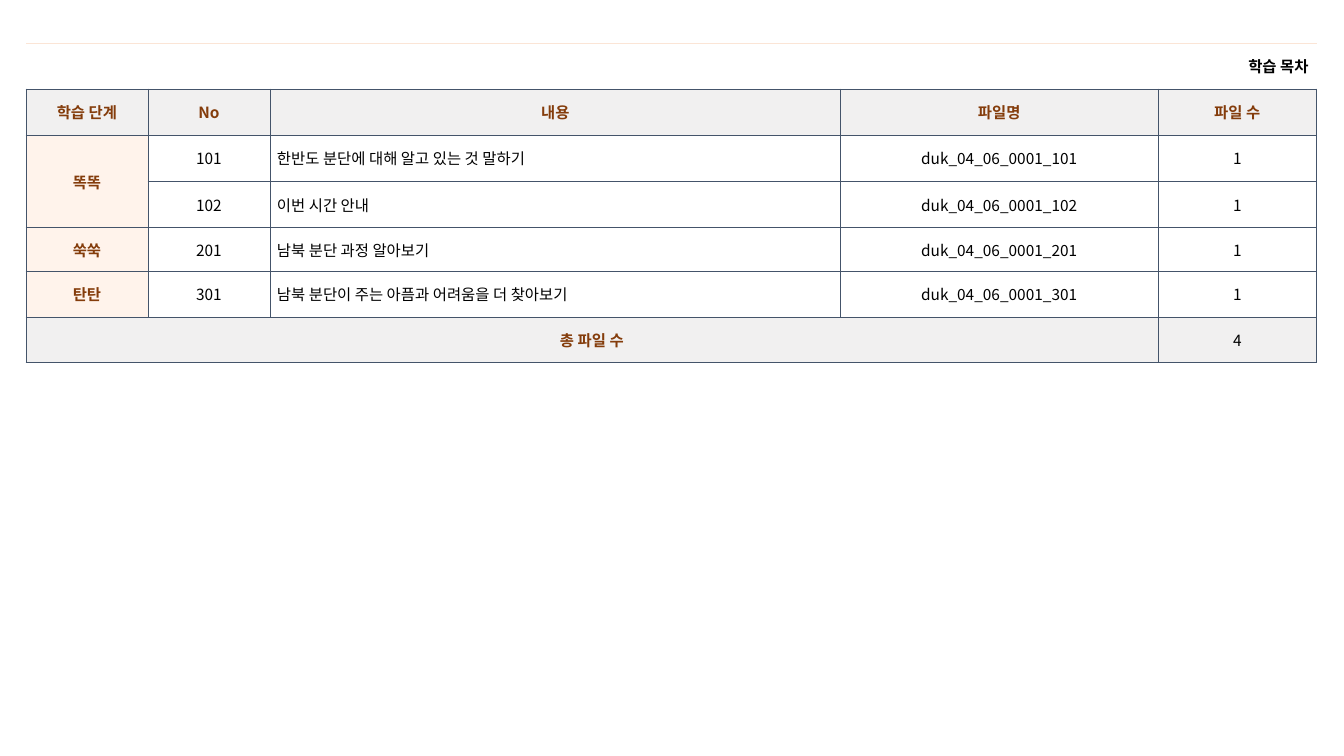
from dataclasses import dataclass

import pptx
import pptx.dml.color
import pptx.enum.text
import pptx.oxml
import pptx.oxml.ns
import pptx.table
import pptx.util

Pt = pptx.util.Pt
RGBColor = pptx.dml.color.RGBColor
ALIGN = pptx.enum.text.PP_ALIGN

BLACK = RGBColor(0x00, 0x00, 0x00)
WHITE = RGBColor(0xFF, 0xFF, 0xFF)
BROWN = RGBColor(0x84, 0x3C, 0x0B)
GRAY = RGBColor(0xF1, 0xF0, 0xF0)
PEACH = RGBColor(0xFF, 0xF3, 0xEB)
RULE = RGBColor(0x44, 0x54, 0x6A)
PALE_RULE = RGBColor(0xFB, 0xE5, 0xD6)

FONT = "Noto Sans CJK KR"
NO_GRID_STYLE = "{2D5ABB26-0587-4C30-8999-92F81FD0307C}"
COLUMN_WIDTHS = [87.1, 87.1, 407.8, 226.5, 113.5]
ROW_HEIGHTS = [32.7, 32.9, 32.9, 33.2, 31, 32.8, 32.8]


@dataclass(frozen=True)
class Entry:
    row: int
    column: int
    text: str
    fill: RGBColor | None = WHITE
    color: RGBColor = BLACK
    bold: bool = False
    align: ALIGN | None = ALIGN.CENTER
    row_span: int = 1
    column_span: int = 1
    side_margin: float = 5.1


@dataclass(frozen=True)
class Lesson:
    number: str
    content: str
    count: str = "1"


def add_border(cell: pptx.table._Cell, edge: str, color: RGBColor, width: float) -> None:
    line = pptx.oxml.parse_xml(
        f'<a:ln{edge} {pptx.oxml.ns.nsdecls("a")} w="{Pt(width)}">'
        f'<a:solidFill><a:srgbClr val="{color}"/></a:solidFill></a:ln{edge}>'
    )
    cell._tc.get_or_add_tcPr().append(line)


def frame_cell(cell: pptx.table._Cell, entry: Entry, row: int, column: int) -> None:
    """Draw the edges of one grid cell that lie on the outside of its entry."""
    is_heading = entry.row == 0
    outer_edges = {
        "L": column == entry.column and not is_heading,
        "R": column == entry.column + entry.column_span - 1 and not is_heading,
        "T": row == entry.row,
        "B": row == entry.row + entry.row_span - 1,
    }
    for edge, is_outer in outer_edges.items():
        if is_outer:
            pale = is_heading and edge == "T"
            add_border(cell, edge, PALE_RULE if pale else RULE, 0.25 if pale else 0.5)


def draw_entry(table: pptx.table.Table, entry: Entry) -> None:
    last_row = entry.row + entry.row_span - 1
    last_column = entry.column + entry.column_span - 1
    origin = table.cell(entry.row, entry.column)
    if (last_row, last_column) != (entry.row, entry.column):
        origin.merge(table.cell(last_row, last_column))

    # Borders come before the fill in the cell properties
    for row in range(entry.row, last_row + 1):
        for column in range(entry.column, last_column + 1):
            cell = table.cell(row, column)
            frame_cell(cell, entry, row, column)
            if entry.fill is None:
                cell.fill.background()
            else:
                cell.fill.solid()
                cell.fill.fore_color.rgb = entry.fill

    origin.margin_left = origin.margin_right = Pt(entry.side_margin)
    origin.margin_top = origin.margin_bottom = Pt(3.6)
    origin.vertical_anchor = pptx.enum.text.MSO_ANCHOR.MIDDLE

    paragraph = origin.text_frame.paragraphs[0]
    paragraph.alignment = entry.align
    run = paragraph.add_run()
    run.text = entry.text
    run.font.size = Pt(11)
    run.font.bold = entry.bold
    run.font.color.rgb = entry.color
    run.font.name = FONT
    run.font._element.append(
        pptx.oxml.parse_xml(f'<a:ea {pptx.oxml.ns.nsdecls("a")} typeface="{FONT}"/>')
    )


def label(row: int, column: int, text: str, fill: RGBColor,
          row_span: int = 1, column_span: int = 1) -> Entry:
    return Entry(row, column, text, fill, BROWN, True,
                 row_span=row_span, column_span=column_span)


def contents_entries() -> list[Entry]:
    # Heading and column labels
    entries = [Entry(0, 0, "학습 목차", None, bold=True, align=ALIGN.RIGHT,
                     column_span=5, side_margin=5.8)]
    headers = ["학습 단계", "No", "내용", "파일명", "파일 수"]
    entries += [label(1, column, text, GRAY) for column, text in enumerate(headers)]

    # Learning stages with their lessons
    stages = {
        "똑똑": [Lesson("101", "한반도 분단에 대해 알고 있는 것 말하기"),
                Lesson("102", "이번 시간 안내")],
        "쑥쑥": [Lesson("201", "남북 분단 과정 알아보기")],
        "탄탄": [Lesson("301", "남북 분단이 주는 아픔과 어려움을 더 찾아보기")],
    }
    row = 2
    for stage, lessons in stages.items():
        entries.append(label(row, 0, stage, PEACH, row_span=len(lessons)))
        for lesson in lessons:
            entries += [
                Entry(row, 1, lesson.number),
                Entry(row, 2, lesson.content, align=None),
                Entry(row, 3, f"duk_04_06_0001_{lesson.number}"),
                Entry(row, 4, lesson.count),
            ]
            row += 1

    # Total
    entries.append(label(row, 0, "총 파일 수", GRAY, column_span=4))
    entries.append(Entry(row, 4, "4", GRAY))
    return entries


def main() -> None:
    presentation = pptx.Presentation()
    presentation.slide_width = Pt(960)
    presentation.slide_height = Pt(540)
    slide = presentation.slides.add_slide(presentation.slide_layouts[6])

    # Contents table
    frame = slide.shapes.add_table(
        len(ROW_HEIGHTS), len(COLUMN_WIDTHS), Pt(18.6), Pt(30.9),
        Pt(sum(COLUMN_WIDTHS)), Pt(sum(ROW_HEIGHTS)),
    )
    contents = frame.table
    contents.first_row = contents.horz_banding = False
    style_id = contents._tbl.tblPr.find(pptx.oxml.ns.qn("a:tableStyleId"))
    style_id.text = NO_GRID_STYLE
    for column, width in zip(contents.columns, COLUMN_WIDTHS):
        column.width = Pt(width)
    for row, height in zip(contents.rows, ROW_HEIGHTS):
        row.height = Pt(height)
    for entry in contents_entries():
        draw_entry(contents, entry)

    presentation.save("out.pptx")


if __name__ == "__main__":
    main()
